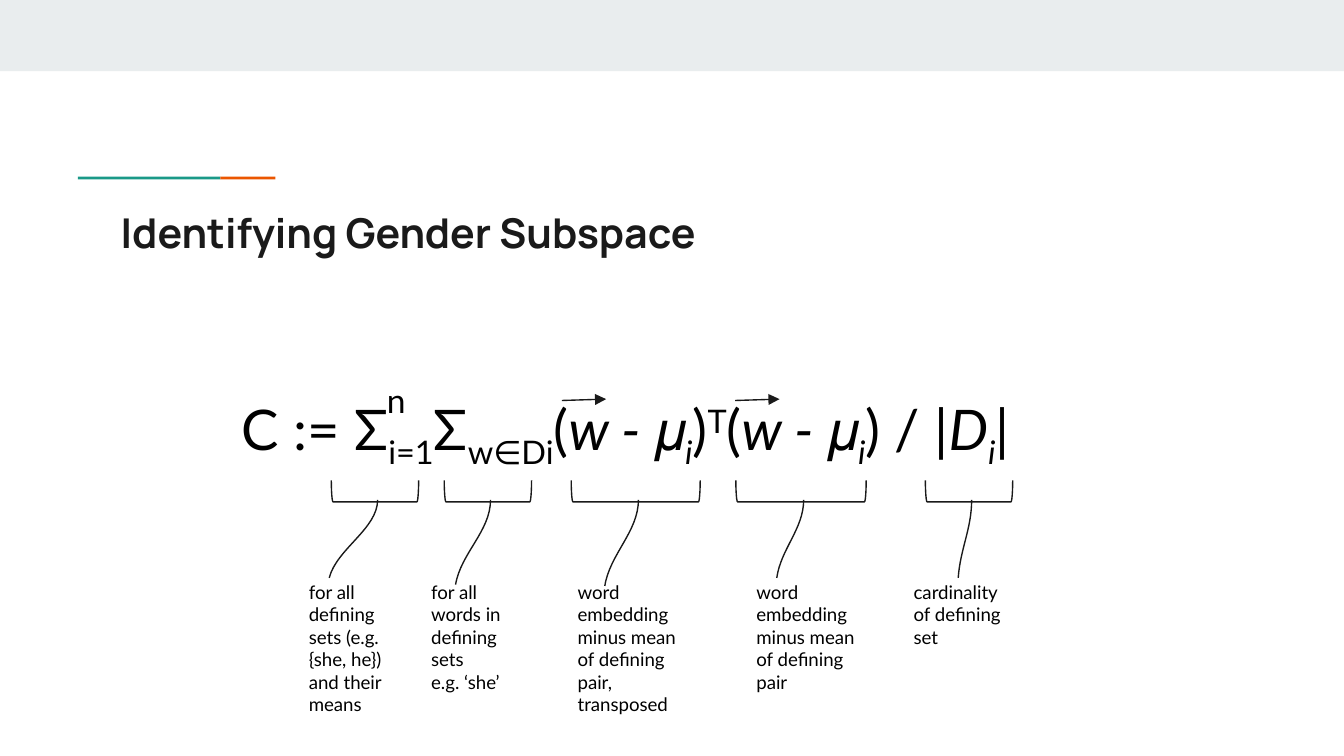
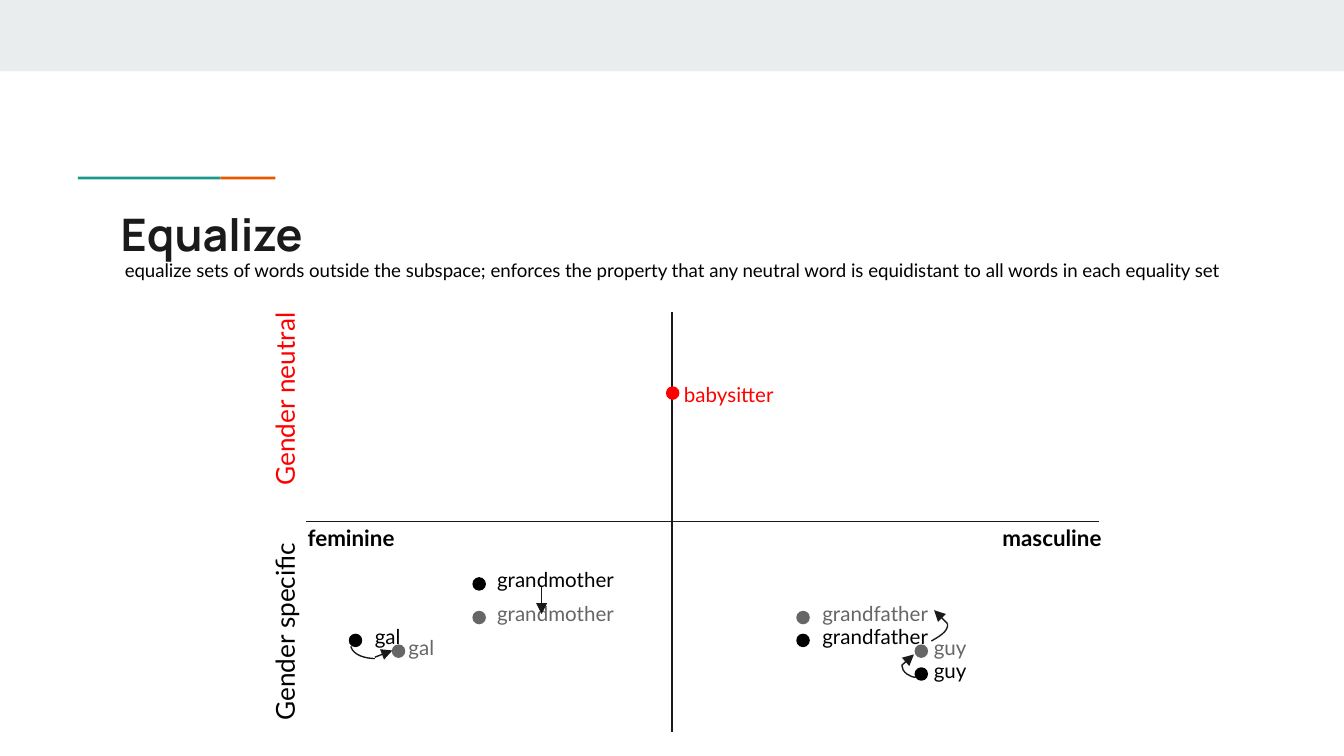
from dataclasses import dataclass

import pptx
import pptx.dml.color
import pptx.enum.shapes
import pptx.enum.text
import pptx.oxml
import pptx.oxml.ns
import pptx.util
from lxml import etree

SHAPE = pptx.enum.shapes.MSO_SHAPE
COLUMNS, ROWS = 100, 56.25
SLIDE_WIDTH = pptx.util.Inches(10)
SLIDE_HEIGHT = SLIDE_WIDTH * 9 // 16
CELL = SLIDE_WIDTH // COLUMNS  # grid cells are square

BAND, TEAL, ORANGE = "E9EDEE", "1A9988", "EB5600"
INK, BLACK, GREY, RED = "1A1A1A", "000000", "666666", "FF0000"
BODY_FONT, TITLE_FONT = "Lato", "Manrope"
LINE_WIDTH = 0.75
DOT_SIZE = 0.9


@dataclass
class Box:
    """A region of the slide, in grid columns and rows."""
    left: float
    top: float
    width: float
    height: float

    def inner(self, left, top, width, height):
        return Box(self.left + left, self.top + top, width, height)

    def point(self, column, row):
        return round((self.left + column) * CELL), round((self.top + row) * CELL)

    def frame(self):
        return (*self.point(0, 0), round(self.width * CELL), round(self.height * CELL))


def rgb(color):
    return pptx.dml.color.RGBColor.from_string(color)


def apply(target, values):
    for name, value in values.items():
        setattr(target, name, value)


def set_line(shape, color):
    shape.line.color.rgb = rgb(color)
    shape.line.width = pptx.util.Pt(LINE_WIDTH)


def add_shape(slide, kind, box, fill=None, line=None):
    shape = slide.shapes.add_shape(kind, *box.frame())
    shape.shadow.inherit = False
    if fill:
        shape.fill.solid()
        shape.fill.fore_color.rgb = rgb(fill)
    else:
        shape.fill.background()
    if line:
        set_line(shape, line)
    else:
        shape.line.fill.background()
    return shape


def add_run(paragraph, text, size, color=BLACK, font=BODY_FONT, bold=False, italic=False, baseline=0):
    """Baseline is the percentage by which the text is raised or lowered."""
    run = paragraph.add_run()
    run.text = text
    apply(run.font, {"size": pptx.util.Pt(size), "name": font, "bold": bold, "italic": italic})
    run.font.color.rgb = rgb(color)
    if baseline:
        run.font._element.set("baseline", str(baseline * 1000))


def add_text(slide, box, lines, size, rotation=0, **style):
    """Each line becomes one paragraph."""
    shape = slide.shapes.add_textbox(*box.frame())
    shape.rotation = rotation
    inset = pptx.util.Inches(0.1)
    frame = shape.text_frame
    apply(frame, {
        "word_wrap": True,
        "vertical_anchor": pptx.enum.text.MSO_ANCHOR.TOP,
        "margin_left": inset, "margin_top": inset,
        "margin_right": inset, "margin_bottom": inset,
    })
    for number, line in enumerate(lines):
        paragraph = frame.add_paragraph() if number else frame.paragraphs[0]
        add_run(paragraph, line, size, **style)
    return frame


def add_line(slide, box, start, end, arrow=False):
    connector = slide.shapes.add_connector(
        pptx.enum.shapes.MSO_CONNECTOR.STRAIGHT, *box.point(*start), *box.point(*end))
    set_line(connector, INK)
    if arrow:
        tail = etree.SubElement(connector.line._get_or_add_ln(), pptx.oxml.ns.qn("a:tailEnd"))
        tail.set("type", "triangle")
    etree.SubElement(connector._element.spPr, pptx.oxml.ns.qn("a:effectLst"))


def add_curve(slide, box, start, first_control, second_control, end):
    """Draw one open cubic curve."""
    builder = slide.shapes.build_freeform(*box.point(*start))
    builder.add_line_segments([box.point(*end)], close=False)
    shape = builder.convert_to_shape()
    shape.shadow.inherit = False
    shape.fill.background()
    set_line(shape, INK)
    segment = shape._element.xpath(".//a:lnTo")[0]
    segment.tag = pptx.oxml.ns.qn("a:cubicBezTo")
    for position, control in enumerate((first_control, second_control)):
        x, y = box.point(*control)
        point = pptx.oxml.parse_xml(
            f'<a:pt {pptx.oxml.ns.nsdecls("a")} x="{x - shape.left}" y="{y - shape.top}"/>')
        segment.insert(position, point)


def add_slide(presentation, title, title_size):
    """Add a blank slide with the band, the accent rule and the title."""
    slide = presentation.slides.add_slide(presentation.slide_layouts[6])
    add_shape(slide, SHAPE.RECTANGLE, Box(0, 0, COLUMNS, 5.3), BAND)
    accent = Box(5.8, 13.15, 14.7, 0.2)
    teal_width = 10.6
    add_shape(slide, SHAPE.RECTANGLE, accent.inner(0, 0, teal_width, accent.height), TEAL)
    add_shape(slide, SHAPE.RECTANGLE,
              accent.inner(teal_width, 0, accent.width - teal_width, accent.height), ORANGE)
    add_text(slide, Box(8, 14.4, 84.1, 5.9), [title], title_size,
             color=INK, font=TITLE_FONT, bold=True)
    return slide


def formula(slide, box):
    italic, lowered, raised = {"italic": True}, {"baseline": -25}, {"baseline": 30}
    lowered_italic = {**italic, **lowered}
    difference = [("(", {}), ("w - ", italic), ("𝜇", {}), ("i", lowered_italic)]
    runs = [
        ("C := Σ", {}), ("i=1", lowered), ("Σ", {}), ("w∈Di", lowered),
        *difference, (")", {}), ("T", raised),
        *difference, (") / |", {}), ("D", italic), ("i", lowered_italic), ("|", {}),
    ]
    add_text(slide, box.inner(10.8, -0.2, 5.2, 3.6), ["n"], 18)
    paragraph = add_text(slide, box, [], 30).paragraphs[0]
    apply(paragraph, {"line_spacing": 1.15, "space_after": pptx.util.Pt(16)})
    for text, style in runs:
        add_run(paragraph, text, 30, **style)
    for column in (24.8, 37.7):
        add_line(slide, box, (column, 2.3), (column + 3.3, 2.2), arrow=True)


def annotation(slide, box, lines, bracket_center, bracket_width, pointer_end):
    """Place a bracket, the curve that hangs from it, and its text."""
    add_text(slide, box.inner(0, 9.2, 9.3, 11.2), lines, 10)
    depth, bracket_row = 1.6, 3.55
    bracket = add_shape(
        slide, SHAPE.RIGHT_BRACKET,
        box.inner(bracket_center - depth / 2, bracket_row - bracket_width / 2, depth, bracket_width),
        line=INK)
    bracket.rotation = 90
    top_column, top_row = bracket_center + 0.2, 4.2
    end_column, end_row = pointer_end
    bend = 0.37 * (end_row - top_row)
    add_curve(slide, box, pointer_end,
              (end_column + 0.15 * (top_column - end_column), end_row - bend),
              (top_column, top_row + bend), (top_column, top_row))


def subspace_slide(presentation):
    slide = add_slide(presentation, "Identifying Gender Subspace", 22)
    formula(slide, Box(17, 27.5, 66, 12.6))
    # column, text, bracket centre and width, pointer end
    annotations = [
        (22, ["for all defining sets (e.g.", "{she, he})", "and their means"], 5.9, 6.5, (2.5, 10)),
        (31.1, ["for all words in defining sets", "e.g. ‘she’"], 5.2, 6.5, (2.8, 10.5)),
        (42, ["word embedding minus mean of defining pair, transposed"], 5.3, 9.6, (3, 10.6)),
        (55.3, ["word embedding minus mean of defining pair"], 4.3, 9.7, (2.5, 10)),
        (67, ["cardinality of defining set"], 5.1, 6.5, (4.3, 10)),
    ]
    for column, *parts in annotations:
        annotation(slide, Box(column, 33, 9.3, 20.4), *parts)


def word_point(slide, box, word, column, row, label_shift, label_width, color, label_rise=1.7):
    add_shape(slide, SHAPE.FLOWCHART_CONNECTOR,
              box.inner(column, row, DOT_SIZE, DOT_SIZE), color, color)
    add_text(slide, box.inner(column + label_shift, row - label_rise, label_width, 4.2),
             [word], 11, color=color)


def axes(slide, box):
    center, crossing = 27.2, 15.6
    add_line(slide, box, (center, 0), (center, box.height))
    add_line(slide, box, (0, crossing), (box.width, crossing))
    for label, row, color in (("Gender neutral", 4.5, RED), ("Gender specific", 22, BLACK)):
        add_text(slide, box.inner(-10, row, 15.6, 3.2), [label], 14, rotation=270, color=color)
    for label, column in (("feminine", -0.9), ("masculine", 50.8)):
        add_text(slide, box.inner(column, crossing - 0.8, 9.9, 3.4), [label], 12, bold=True)


def word_plot(slide, box):
    axes(slide, box)
    word_point(slide, box, "babysitter", 26.8, 5.6, 0.3, 12.2, RED, label_rise=1.3)
    # word, place before, place after, label shifts, label width
    moves = [
        ("grandmother", (12.4, 19.8), (12.4, 22.3), (0.8, 0.8), 14.7),
        ("grandfather", (36.5, 24), (36.5, 22.3), (0.9, 0.9), 14.7),
        ("gal", (3.2, 24), (6.4, 24.8), (0.9, 0.2), 4.2),
        ("guy", (45.3, 26.5), (45.3, 24.8), (0.4, 0.4), 14.7),
    ]
    for stage, color in enumerate((BLACK, GREY)):
        for word, *places, shifts, width in moves:
            word_point(slide, box, word, *places[stage], shifts[stage], width, color)
    arrows = [
        ((17.5, 20.5), (17.5, 22.5)),
        ((47.7, 23.2), (46.7, 22.2)),
        ((5.1, 25.7), (6.4, 25.2)),
        ((44.3, 26.3), (45.2, 25.5)),
    ]
    for start, end in arrows:
        add_line(slide, box, start, end, arrow=True)
    arrow_stems = [
        ((47.7, 23.2), (47.8, 23.8), (47, 24.2), (46.5, 24.5)),
        ((5.1, 25.8), (4.5, 25.8), (3.5, 25.6), (3.3, 24.9)),
        ((45.4, 27.2), (44.9, 27.2), (44.3, 26.8), (44.3, 26.3)),
    ]
    for stem in arrow_stems:
        add_curve(slide, box, *stem)


def equalize_slide(presentation):
    slide = add_slide(presentation, "Equalize", 24)
    add_text(slide, Box(8.3, 18.4, 84.1, 4.9), [
        "equalize sets of words outside the subspace; enforces the property that any "
        "neutral word is equidistant to all words in each equality set"], 10)
    word_plot(slide, Box(22.8, 23.2, 59, 31.3))


def main():
    presentation = pptx.Presentation()
    apply(presentation, {"slide_width": SLIDE_WIDTH, "slide_height": SLIDE_HEIGHT})
    subspace_slide(presentation)
    equalize_slide(presentation)
    presentation.save("out.pptx")


if __name__ == "__main__":
    main()
